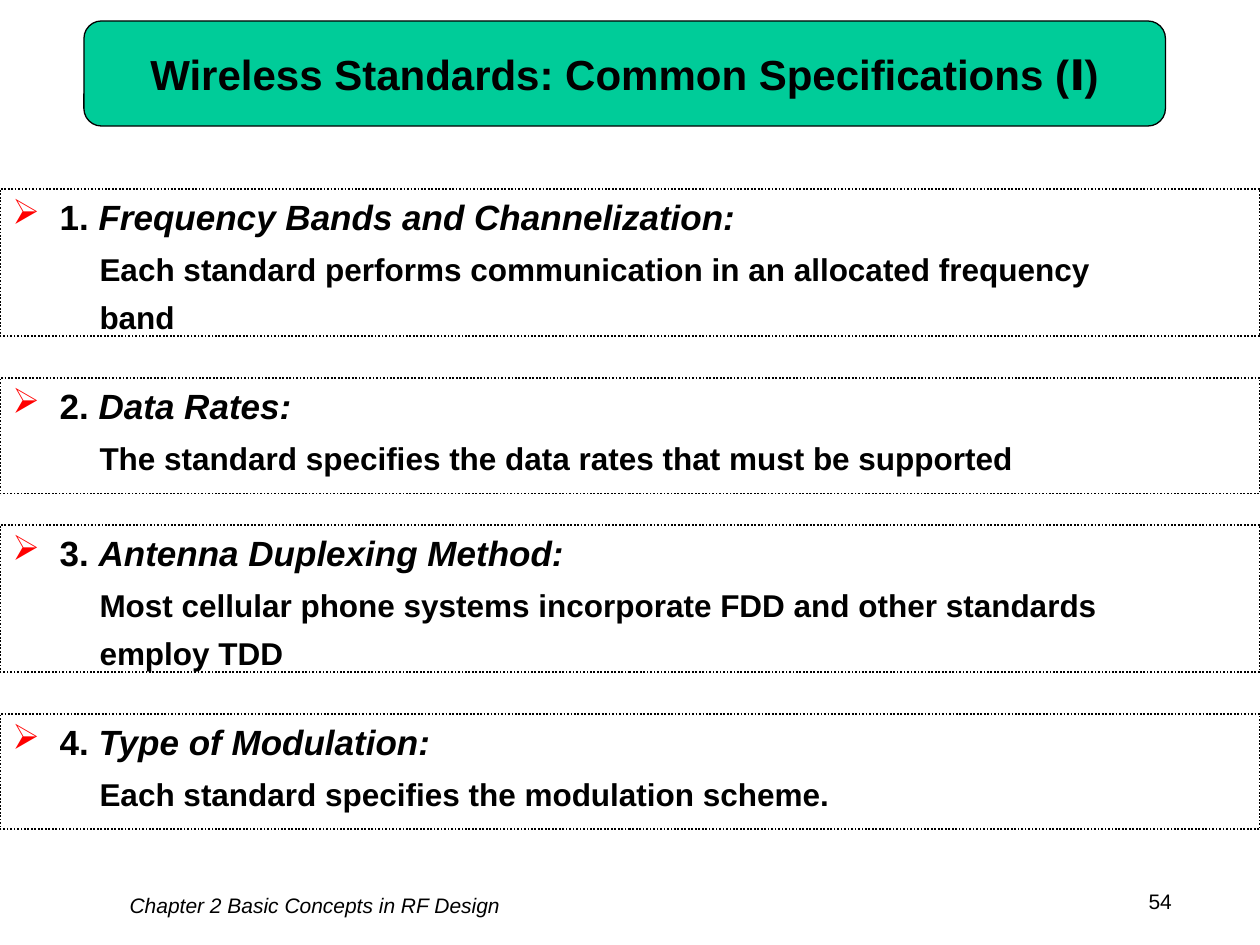
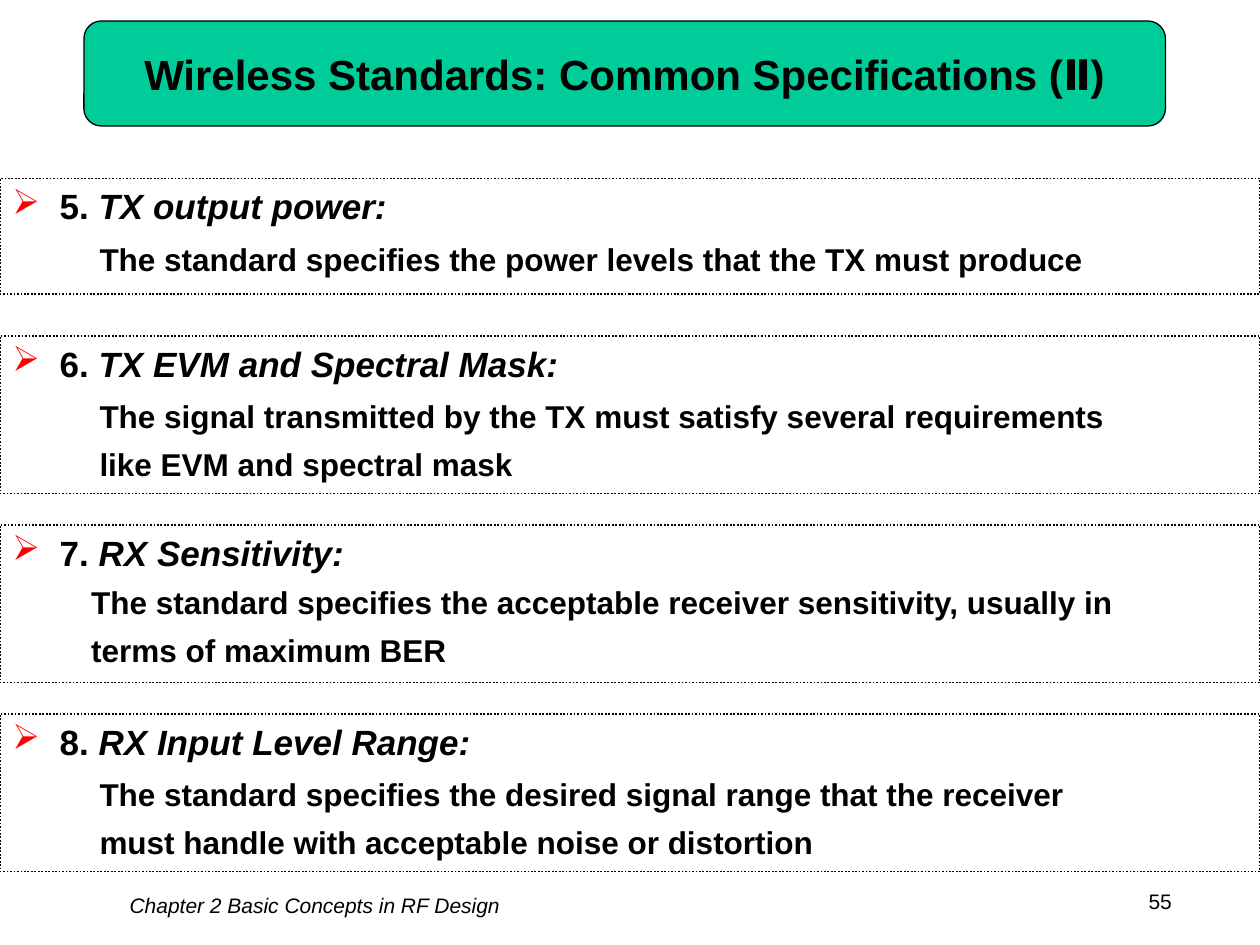
from lxml import etree
from pptx import Presentation
from pptx.dml.color import RGBColor
from pptx.enum.dml import MSO_LINE
from pptx.enum.shapes import MSO_SHAPE
from pptx.enum.text import MSO_ANCHOR, PP_ALIGN
from pptx.oxml.ns import qn
from pptx.util import Pt

PX = 7620  # 120 px to the inch
SLIDE_SIZE = (1200, 900)
FONT = "Arial"
BLACK, GREEN, RED = "000000", "00CC99", "FF0000"
RECTANGLE, ROUNDED = MSO_SHAPE.RECTANGLE, MSO_SHAPE.ROUNDED_RECTANGLE
LEFT, CENTER = PP_ALIGN.LEFT, PP_ALIGN.CENTER
TOP, MIDDLE = MSO_ANCHOR.TOP, MSO_ANCHOR.MIDDLE
DOTTED = MSO_LINE.ROUND_DOT

BANNER_BOX = (80, 20, 1030, 100)
CHAPTER_BOX = (10, 844, 580, 36)
NUMBER_BOX = (1010, 840, 190, 36)
CHAPTER = "Chapter 2 Basic Concepts in RF Design"
HEADING_INDENT, BODY_INDENT, CLOSE_INDENT = 45, 83, 75
# Points before a first body line (normal, close) and before later lines
FIRST_GAP, LINE_GAP = 7.4, 5.6

# Each card: top, height, heading, body lines, whether the body sits close
SLIDES = [
    (54, "Wireless Standards: Common Specifications (Ⅰ)", [
        (180, 140, "Frequency Bands and Channelization:",
         ["Each standard performs communication in an allocated frequency",
          "band"], False),
        (360, 110, "Data Rates:",
         ["The standard specifies the data rates that must be supported"], False),
        (500, 140, "Antenna Duplexing Method:",
         ["Most cellular phone systems incorporate FDD and other standards",
          "employ TDD"], False),
        (680, 110, "Type of Modulation:",
         ["Each standard specifies the modulation scheme."], False),
    ]),
    (55, "Wireless Standards: Common Specifications (Ⅱ)", [
        (170, 110, "TX output power:",
         ["The standard specifies the power levels that the TX must produce"],
         False),
        (320, 150, "TX EVM and Spectral Mask:",
         ["The signal transmitted by the TX must satisfy several requirements",
          "like EVM and spectral mask"], False),
        (500, 150, "RX Sensitivity:",
         ["The standard specifies the acceptable receiver sensitivity, usually in",
          "terms of maximum BER"], True),
        (680, 150, "RX Input Level Range:",
         ["The standard specifies the desired signal range that the receiver",
          "must handle with acceptable noise or distortion"], False),
    ]),
]


def color(value):
    return RGBColor.from_string(value)


def scaled(box):
    return [length * PX for length in box]


def style_paragraph(paragraph, size, bold=False, italic=None, align=LEFT):
    paragraph.alignment = align
    font = paragraph.font
    font.name, font.size, font.bold = FONT, Pt(size), bold
    font.color.rgb = color(BLACK)
    if italic is not None:
        font.italic = italic


def set_indent(paragraph, left, hanging=0, bullet=None):
    properties = paragraph._p.get_or_add_pPr()
    properties.set("marL", str(left * PX))
    properties.set("indent", str(-hanging * PX))
    if bullet:
        bullet_color = etree.SubElement(properties, qn("a:buClr"))
        etree.SubElement(bullet_color, qn("a:srgbClr"), val=RED)
        etree.SubElement(properties, qn("a:buChar"), char=bullet)
    else:
        etree.SubElement(properties, qn("a:buNone"))


def add_panel(slide, kind, box, line_width, fill=None, anchor=TOP):
    shape = slide.shapes.add_shape(kind, *scaled(box))
    shape.shadow.inherit = False
    if fill:
        shape.fill.solid()
        shape.fill.fore_color.rgb = color(fill)
    else:
        shape.fill.background()
    shape.line.color.rgb = color(BLACK)
    shape.line.width = Pt(line_width)
    shape.text_frame.word_wrap = True
    shape.text_frame.vertical_anchor = anchor
    return shape


def add_banner(slide, box, title):
    banner = add_panel(slide, ROUNDED, box, 0.75, GREEN, MIDDLE)
    paragraph = banner.text_frame.paragraphs[0]
    paragraph.text = title
    style_paragraph(paragraph, 24, bold=True, align=CENTER)


def add_footer_text(slide, box, text, italic=False):
    frame = slide.shapes.add_textbox(*scaled(box)).text_frame
    frame.word_wrap = True
    paragraph = frame.paragraphs[0]
    paragraph.text = text
    style_paragraph(paragraph, 12, italic=italic, align=CENTER)


def add_card(slide, box, number, heading, lines, close):
    card = add_panel(slide, RECTANGLE, box, 1)
    card.line.dash_style = DOTTED
    frame = card.text_frame

    # Numbered heading
    paragraph = frame.paragraphs[0]
    set_indent(paragraph, HEADING_INDENT, HEADING_INDENT, "➢")
    style_paragraph(paragraph, 20, bold=True)
    paragraph.add_run().text = f"{number}. "
    name = paragraph.add_run()
    name.text = heading
    name.font.italic = True

    # Body lines
    for index, line in enumerate(lines):
        paragraph = frame.add_paragraph()
        paragraph.text = line
        set_indent(paragraph, CLOSE_INDENT if close else BODY_INDENT)
        style_paragraph(paragraph, 18, bold=True)
        first = index == 0 and not close
        paragraph.space_before = Pt(FIRST_GAP if first else LINE_GAP)


def add_specification_slide(presentation, page, title, cards, first_number):
    slide = presentation.slides.add_slide(presentation.slide_layouts[6])
    add_banner(slide, BANNER_BOX, title)
    add_footer_text(slide, CHAPTER_BOX, CHAPTER, italic=True)
    add_footer_text(slide, NUMBER_BOX, str(page))
    for number, (top, height, *content) in enumerate(cards, first_number):
        add_card(slide, (0, top, SLIDE_SIZE[0], height), number, *content)


def main():
    presentation = Presentation()
    presentation.slide_width, presentation.slide_height = scaled(SLIDE_SIZE)
    first_number = 1
    for page, title, cards in SLIDES:
        add_specification_slide(presentation, page, title, cards, first_number)
        first_number += len(cards)
    presentation.save("out.pptx")


if __name__ == "__main__":
    main()
